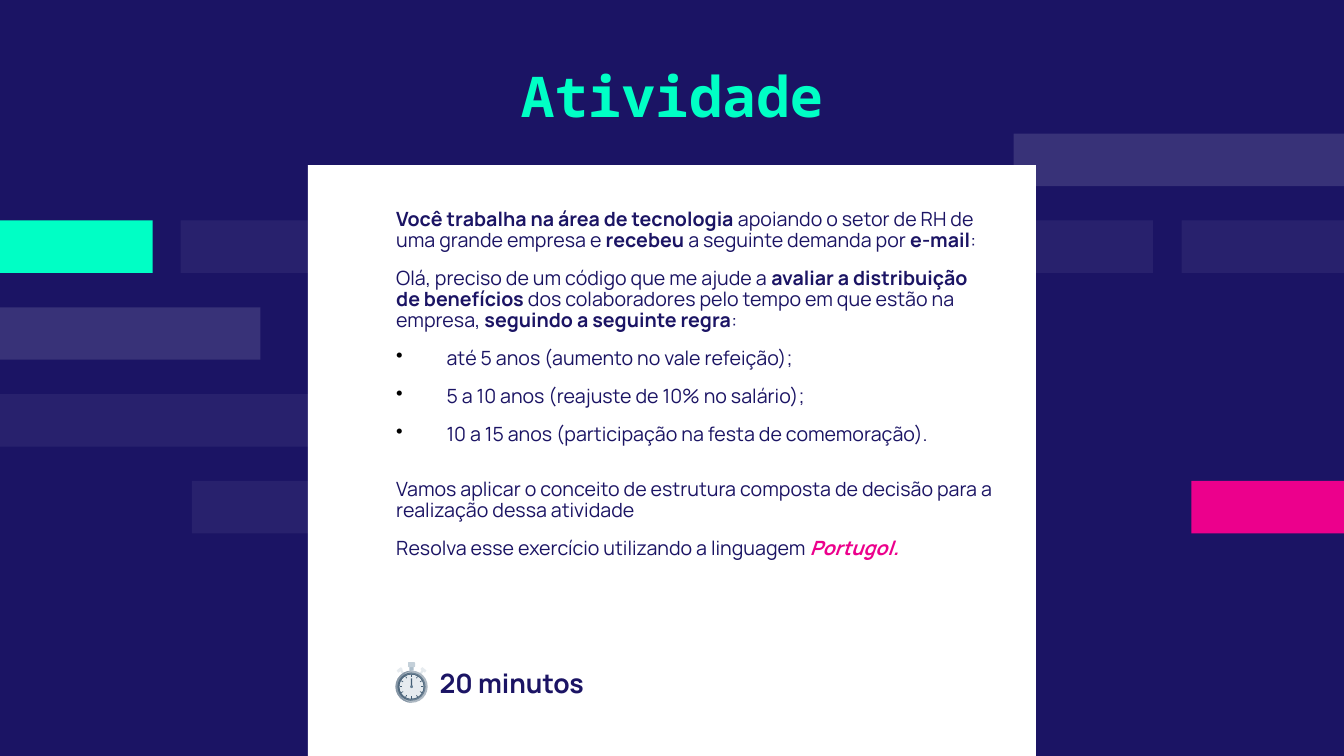
from dataclasses import dataclass
from math import cos, pi, sin

from lxml import etree
from pptx import Presentation
from pptx.dml.color import RGBColor
from pptx.enum.shapes import MSO_CONNECTOR, MSO_SHAPE
from pptx.enum.text import MSO_ANCHOR, MSO_AUTO_SIZE, PP_ALIGN
from pptx.oxml.ns import qn
from pptx.util import Pt

PX = 6350  # 1920 x 1080 px slide
RECT, ROUND = MSO_SHAPE.RECTANGLE, MSO_SHAPE.ROUNDED_RECTANGLE
OVAL, MOON = MSO_SHAPE.OVAL, MSO_SHAPE.MOON
LINE = MSO_CONNECTOR.STRAIGHT
TOP, MIDDLE = MSO_ANCHOR.TOP, MSO_ANCHOR.MIDDLE
CENTER = PP_ALIGN.CENTER
GROW, FIXED = MSO_AUTO_SIZE.SHAPE_TO_FIT_TEXT, MSO_AUTO_SIZE.NONE

HEX = {
    "navy": "1B1464", "mint": "00FFC5", "pink": "EC008C",
    "white": "FFFFFF", "black": "000000",
    "case": "AEB9C3", "case_dim": "8797A6",
    "rim": "6C8193", "rim_dim": "546C81",
    "face": "E6EBEF", "face_dim": "E3E9ED",
    "ink": "435D74", "hub": "657E93", "crown": "C4D0D9", "neck": "ADBECB",
}


@dataclass
class Bar:
    row: int
    left: int
    width: int
    color: str = "white"
    alpha: int = 100


@dataclass
class Dial:
    radius: int
    color: str
    shade: str = ""
    thick: int = 0


@dataclass
class Para:
    text: str  # ** marks bold spans
    bullet: bool = False
    after: int = 0
    accent: bool = False


BARS = [
    Bar(2, 0, 372, alpha=13), Bar(1, 258, 232, alpha=6),
    Bar(3, 0, 472, alpha=6), Bar(1, 0, 218, "mint"),
    Bar(4, 274, 232, alpha=6), Bar(4, 1702, 218, "pink"),
    Bar(1, 1688, 232, alpha=6), Bar(1, 1151, 496, alpha=6),
    Bar(0, 1448, 472, alpha=13),
]
ROW_TOP, ROW_STEP, BAR_H = 191, 124, 75

DIALS = [
    Dial(23, "case", "case_dim", 4), Dial(20, "rim", "rim_dim", 3),
    Dial(18, "ink"), Dial(17, "face", "face_dim", 4),
]

PARAS = [
    Para("**Você trabalha na área de tecnologia** apoiando o setor de RH de "
         "uma grande empresa e **recebeu **a seguinte demanda por **e-mail**:"),
    Para("Olá, preciso de um código que me ajude a **avaliar a distribuição "
         "de benefícios **dos colaboradores pelo tempo em que estão na "
         "empresa, **seguindo a seguinte regra**:"),
    Para("até 5 anos (aumento no vale refeição);", True),
    Para("5 a 10 anos (reajuste de 10% no salário);", True),
    Para("10 a 15 anos (participação na festa de comemoração).", True, 12),
    Para("Vamos aplicar o conceito de estrutura composta de decisão para a "
         "realização dessa atividade"),
    Para("Resolva esse exercício utilizando a linguagem **Portugol.**",
         accent=True),
]


def px(n: float) -> int:
    return round(n * PX)


def rgb(name: str) -> RGBColor:
    return RGBColor.from_string(HEX[name])


def draw(kind, x: float, y: float, w: float, h: float, color: str,
         alpha: int = 100, turn: int = 0):
    shape = slide.shapes.add_shape(kind, px(x), px(y), px(w), px(h))
    shape.shadow.inherit = False
    shape.fill.solid()
    shape.fill.fore_color.rgb = rgb(color)
    shape.line.fill.background()
    shape.rotation = turn
    if alpha < 100:
        tone = shape.fill._xPr.find(".//" + qn("a:srgbClr"))
        etree.SubElement(tone, qn("a:alpha"), val=str(alpha * 1000))
    return shape


def style(para, size: int, face: str, color: str, bold: bool = False) -> None:
    para.line_spacing = 0.9
    font = para.font
    font.size, font.name, font.bold = Pt(size), face, bold
    font.color.rgb = rgb(color)


def frame(shape, inset: tuple[int, int], anchor, fit):
    box = shape.text_frame
    box.word_wrap, box.vertical_anchor, box.auto_size = True, anchor, fit
    box.margin_left = box.margin_right = px(inset[0])
    box.margin_top = box.margin_bottom = px(inset[1])
    return box


def write(para, item: Para) -> None:
    style(para, 14, "Manrope", "navy")
    para.space_before, para.space_after = Pt(12), Pt(item.after)
    props = para._p.get_or_add_pPr()
    props.set("marL", str(px(108 if item.bullet else 36)))
    props.set("indent", str(px(-72 if item.bullet else 0)))
    if item.bullet:
        mark = etree.Element(qn("a:buClr"))
        etree.SubElement(mark, qn("a:srgbClr"), val=HEX["black"])
        sign = etree.Element(qn("a:buChar"), char="•")
        base = props.find(qn("a:defRPr"))
        base.addprevious(mark)
        base.addprevious(sign)
    for i, part in enumerate(item.text.split("**")):
        if not part:
            continue
        run = para.add_run()
        run.text = part
        if i % 2:
            run.font.bold = True
            if item.accent:
                run.font.italic = True
                run.font.color.rgb = rgb("pink")


def watch(x: int, y: int) -> None:
    # Ears, legs and crown
    for side in (-1, 1):
        draw(RECT, x + side * 14 - 1, y - 24, 3, 6, "face_dim",
             turn=side * 30)
        draw(ROUND, x + side * 17 - 4, y - 26, 8, 4, "face", turn=side * 38)
    draw(RECT, x - 3, y - 29, 6, 6, "neck")
    draw(ROUND, x - 5, y - 35, 10, 7, "crown")
    # Case and face
    for dial in DIALS:
        r = dial.radius
        draw(OVAL, x - r, y - r, 2 * r, 2 * r, dial.color)
        if dial.shade:
            moon = draw(MOON, x - r, y - r, r, 2 * r, dial.shade)
            moon.adjustments[0] = dial.thick / r
    # Hour ticks
    for hour in range(12):
        dx, dy = cos(hour * pi / 6), sin(hour * pi / 6)
        ends = [px(v) for r in (14, 17) for v in (x + r * dx, y + r * dy)]
        tick = slide.shapes.add_connector(LINE, *ends)
        tick.line.color.rgb = rgb("ink")
        tick.line.width = px(1)
        etree.SubElement(tick._element.spPr, qn("a:effectLst"))
    # Hand and hub
    draw(RECT, x - 1, y - 12, 2, 12, "ink")
    draw(OVAL, x - 2, y - 2, 4, 4, "hub")


deck = Presentation()
deck.slide_width, deck.slide_height = px(1920), px(1080)
slide = deck.slides.add_slide(deck.slide_layouts[5])
slide.background.fill.solid()
slide.background.fill.fore_color.rgb = rgb("navy")

# Side bars and card
for bar in BARS:
    draw(RECT, bar.left, ROW_TOP + bar.row * ROW_STEP, bar.width, BAR_H,
         bar.color, bar.alpha)
draw(RECT, 440, 236, 1040, 844, "white")

# Title
title = slide.shapes.title
title.left, title.top, title.width, title.height = map(
    px, (268, 72, 1384, 141))
head = frame(title, (14, 14), MIDDLE, FIXED)
head.text = "Atividade"
head.paragraphs[0].alignment = CENTER
style(head.paragraphs[0], 40, "Noto Sans Mono", "mint", True)

# Task text
task = slide.shapes.add_textbox(*map(px, (516, 292, 920, 592)))
body = frame(task, (14, 7), TOP, GROW)
for i, item in enumerate(PARAS):
    write(body.add_paragraph() if i else body.paragraphs[0], item)

# Time limit
watch(588, 981)
label = slide.shapes.add_textbox(*map(px, (628, 958, 759, 46)))
time = frame(label, (0, 0), TOP, GROW)
time.text = "20 minutos"
style(time.paragraphs[0], 19, "Manrope", "navy", True)

deck.save("out.pptx")
